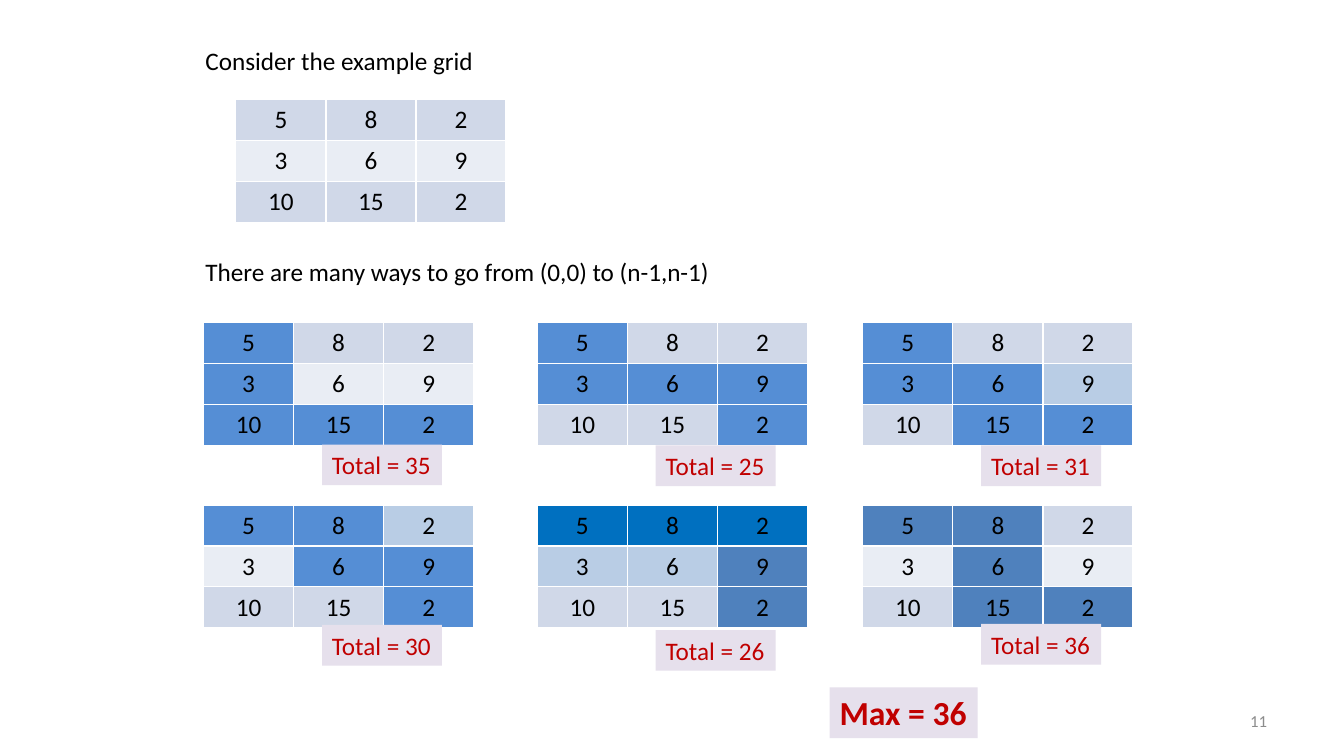
from lxml.etree import SubElement
from pptx import Presentation
from pptx.dml.color import RGBColor
from pptx.enum.shapes import MSO_SHAPE
from pptx.enum.text import MSO_ANCHOR, MSO_AUTO_SIZE, PP_ALIGN
from pptx.oxml.ns import qn
from pptx.util import Pt

# Content: numbers, then (fill codes per row, total, total's top) for each path
NUMBERS = [(5, 8, 2), (3, 6, 9), (10, 15, 2)]
PLAIN = "DDD LLL DDD"
PATHS = [
    [("PDD PLL PPP", 35, 317.5), ("PDD PPP DDP", 25, 318.2), ("PDD PPF DPP", 31, 318.2)],
    [("PPF LPP DDP", 30, 446.4), ("VVV FFS DDS", 26, 450), ("SSD LSL DSS", 36, 445.7)],
]
HEADINGS = [("Consider the example grid", 28.8, 208),
            ("There are many ways to go from (0,0) to (n-1,n-1)", 179.3, 378.7)]

THEME = {
    "font": "Calibri", "body": 18, "max": 24, "number": 12,
    "text": "000000", "accent": "C00000", "label": "E6E0EC",
    "muted": "8C8C8C", "border": "FFFFFF",
    "cells": {"D": "D0D8E8", "L": "E9EDF4", "P": "558ED5",
              "F": "B9CDE5", "V": "0070C0", "S": "4F81BD"},
}

# Layout, in points
CELL_W, CELL_H = 64.32, 29.28
GRID_LEFTS, GRID_TOPS = (145.4, 383.8, 616.3), (230.4, 360.7)
LABEL_DX, LABEL_W, LINE_H = 84.6, 85.7, 29.1


def apply(target, values):
    for name, value in values.items():
        setattr(target, name, value)


def write(tf, text, size="body", color="text", align=PP_ALIGN.LEFT, bold=False):
    p = tf.paragraphs[0]
    p.alignment = align
    r = p.add_run()
    r.text = text
    apply(r.font, {"name": THEME["font"], "size": Pt(THEME[size]), "bold": bold})
    r.font.color.rgb = RGBColor.from_string(THEME[color])


def add_text(box, text, **style):
    sp = s.shapes.add_textbox(*map(Pt, box))
    sp.text_frame.word_wrap = False
    write(sp.text_frame, text, **style)
    return sp


def add_label(box, text, **style):
    sp = s.shapes.add_shape(MSO_SHAPE.RECTANGLE, *map(Pt, box))
    sp.shadow.inherit = False
    sp.fill.solid()
    sp.fill.fore_color.rgb = RGBColor.from_string(THEME["label"])
    sp.line.fill.background()
    apply(sp.text_frame, {"word_wrap": False, "vertical_anchor": MSO_ANCHOR.TOP,
                          "auto_size": MSO_AUTO_SIZE.SHAPE_TO_FIT_TEXT})
    write(sp.text_frame, text, color="accent", **style)


def add_borders(cell):
    tc_pr = cell._tc.get_or_add_tcPr()
    for side in ("lnL", "lnR", "lnT", "lnB"):
        ln = SubElement(tc_pr, qn(f"a:{side}"), w=str(Pt(1)))
        fill = SubElement(ln, qn("a:solidFill"))
        SubElement(fill, qn("a:srgbClr"), val=THEME["border"])


def add_grid(left, top, codes):
    size = len(NUMBERS)
    table = s.shapes.add_table(size, size, Pt(left), Pt(top),
                               Pt(size * CELL_W), Pt(size * CELL_H)).table
    for i, (numbers, row_codes) in enumerate(zip(NUMBERS, codes.split())):
        table.columns[i].width = Pt(CELL_W)
        table.rows[i].height = Pt(CELL_H)
        for j, (number, code) in enumerate(zip(numbers, row_codes)):
            cell = table.cell(i, j)
            cell.vertical_anchor = MSO_ANCHOR.MIDDLE
            add_borders(cell)
            cell.fill.solid()
            cell.fill.fore_color.rgb = RGBColor.from_string(THEME["cells"][code])
            write(cell.text_frame, str(number), align=PP_ALIGN.CENTER)


prs = Presentation()
apply(prs, {"slide_width": Pt(960), "slide_height": Pt(540)})
s = prs.slides.add_slide(prs.slide_layouts[6])

# Headings and example grid
for text, top, width in HEADINGS:
    add_text((139.7, top, width, LINE_H), text)
add_grid(168.5, 71.3, PLAIN)

# Paths, then their totals on top
for top, row in zip(GRID_TOPS, PATHS):
    for left, (codes, total, label_top) in zip(GRID_LEFTS, row):
        add_grid(left, top, codes)
        add_label((left + LABEL_DX, label_top, LABEL_W, LINE_H), f"Total = {total}")

# Best total and slide number
best = max(total for row in PATHS for _, total, _ in row)
add_label((592.6, 491, 105.8, 36.3), f"Max = {best}", size="max", bold=True)
number = add_text((688.3, 500.4, 223.9, 28.8), "11", size="number",
                  color="muted", align=PP_ALIGN.RIGHT)
apply(number.text_frame, {"word_wrap": True, "vertical_anchor": MSO_ANCHOR.MIDDLE})

prs.save("out.pptx")
